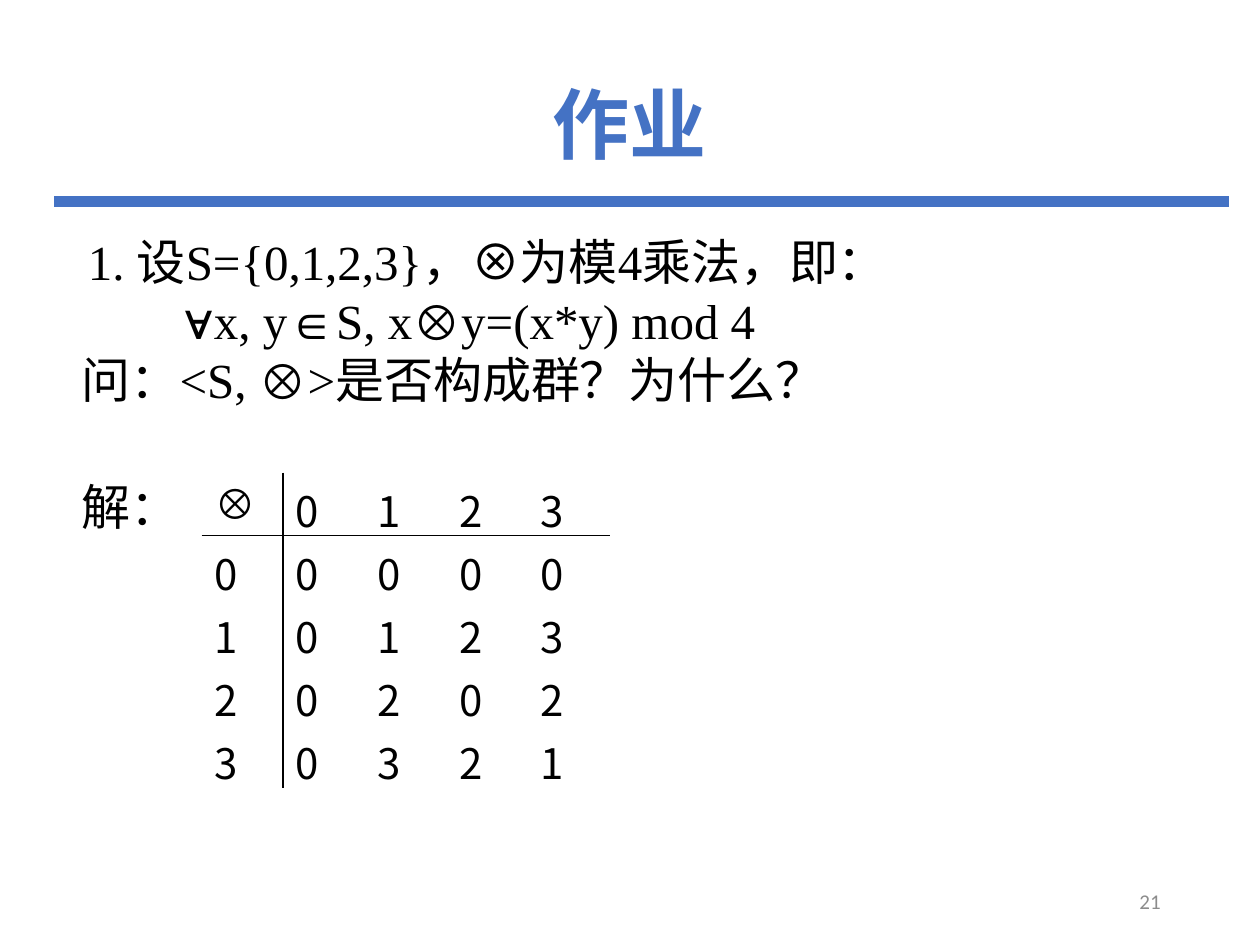
from dataclasses import dataclass

import pptx
import pptx.dml.color
import pptx.enum.shapes
import pptx.enum.text
import pptx.oxml.ns
import pptx.util
from lxml import etree

Inches = pptx.util.Inches
Pt = pptx.util.Pt
qn = pptx.oxml.ns.qn
ALIGN = pptx.enum.text.PP_ALIGN
ANCHOR = pptx.enum.text.MSO_ANCHOR


@dataclass(frozen=True)
class Theme:
    accent: str = "4472C4"
    ink: str = "000000"
    muted: str = "8C8C8C"
    cjk: str = "Noto Sans CJK SC"
    serif: str = "Times New Roman"
    sans: str = "Calibri"
    title: int = 44
    body: int = 28
    cell: int = 24
    number: int = 12


THEME = Theme()


def rgb(color):
    return pptx.dml.color.RGBColor.from_string(color)


def style(p, font, size, color=THEME.ink, bold=False):
    p.font.name = font
    p.font.size = Pt(size)
    p.font.color.rgb = rgb(color)
    p.font.bold = bold
    props = p._p.pPr.find(qn("a:defRPr"))
    latin = props.find(qn("a:latin"))
    ea = etree.Element(qn("a:ea"), typeface=THEME.cjk)
    latin.addnext(ea)


def add_text_box(s, left, top, width, height, anchor):
    box = s.shapes.add_textbox(Inches(left), Inches(top), Inches(width), Inches(height))
    tf = box.text_frame
    tf.word_wrap = True
    tf.vertical_anchor = anchor
    return tf


def add_label(s, text, place, align, font, size, color, bold=False):
    p = add_text_box(s, *place, ANCHOR.MIDDLE).paragraphs[0]
    p.text = text
    p.alignment = align
    style(p, font, size, color, bold)
    return p


def add_rule(s, left, right, y, width):
    line = s.shapes.add_connector(
        pptx.enum.shapes.MSO_CONNECTOR.STRAIGHT,
        Inches(left), Inches(y), Inches(right), Inches(y))
    line.line.color.rgb = rgb(THEME.accent)
    line.line.width = Pt(width)
    etree.SubElement(line._element.spPr, qn("a:effectLst"))


def add_exercise(s):
    lines = [
        ("1. 设S={0,1,2,3}，⊗为模4乘法，即：", 0.49, 0, 33.6),
        ("∀x, y∈S, x⊗y=(x*y) mod 4", 1.26, 0, 33.6),
        ("问：<S, ⊗>是否构成群？为什么？", 0.44, 0, 33.6),
        ("解：", 0.44, 44, 29),
    ]
    tf = add_text_box(s, 0.11, 1.79, 9.77, 5.7, ANCHOR.TOP)
    for i, (text, indent, before, spacing) in enumerate(lines):
        p = tf.paragraphs[0] if i == 0 else tf.add_paragraph()
        p.text = text
        p._p.get_or_add_pPr().set("marL", str(Inches(indent)))
        p.line_spacing = Pt(spacing)
        if before:
            p.space_before = Pt(before)
        style(p, THEME.serif, THEME.body)


def set_borders(cell, visible):
    tc_pr = cell._tc.get_or_add_tcPr()
    for side in "LRTB":
        ln = etree.SubElement(tc_pr, qn(f"a:ln{side}"), w=str(Pt(1)))
        if side in visible:
            fill = etree.SubElement(ln, qn("a:solidFill"))
            etree.SubElement(fill, qn("a:srgbClr"), val=THEME.ink)
        else:
            etree.SubElement(ln, qn("a:noFill"))


def add_operation_table(s, n):
    head = ["⊗", *range(n)]
    rows = [head] + [[x, *(x * y % n for y in range(n))] for x in range(n)]
    size = len(rows)
    table = s.shapes.add_table(
        size, size, Inches(1.6), Inches(3.75), Inches(3.24), Inches(2.35)).table
    table.first_row = False
    table.horz_banding = False
    for r, row in enumerate(rows):
        for c, value in enumerate(row):
            cell = table.cell(r, c)
            cell.vertical_anchor = ANCHOR.MIDDLE
            set_borders(cell, {0: "R", 1: "L"}.get(c, "") + {0: "B", 1: "T"}.get(r, ""))
            cell.fill.background()
            p = cell.text_frame.paragraphs[0]
            p.text = str(value)
            style(p, THEME.serif if r == c == 0 else THEME.cjk, THEME.cell)


def main():
    prs = pptx.Presentation()
    prs.slide_width, prs.slide_height = Inches(10), Inches(7.5)
    s = prs.slides.add_slide(prs.slide_layouts[6])
    add_rule(s, 0.43, 9.75, 1.6, 6)
    title = add_label(s, "作业", (0.69, 0.4, 8.62, 1.24), ALIGN.CENTER,
                      THEME.cjk, THEME.title, THEME.accent, bold=True)
    title.line_spacing = 0.9
    add_exercise(s)
    add_label(s, "21", (7.06, 6.95, 2.25, 0.4), ALIGN.RIGHT,
              THEME.sans, THEME.number, THEME.muted)
    add_operation_table(s, 4)
    prs.save("out.pptx")


if __name__ == "__main__":
    main()
